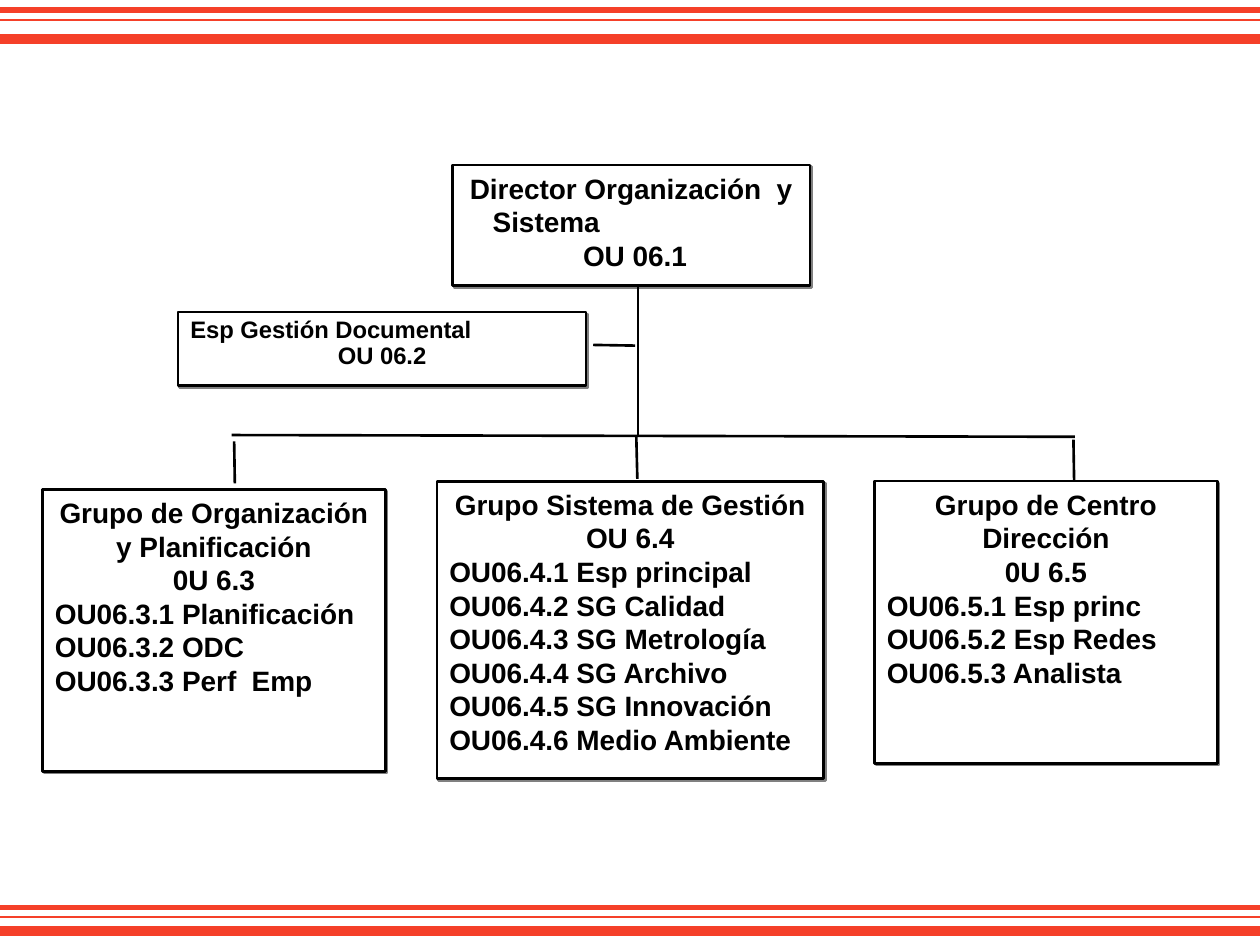
"""Organisation chart of the Organización y Sistema department."""
from dataclasses import dataclass
from typing import Any

import lxml.etree
import pptx
import pptx.dml.color
import pptx.enum.shapes
import pptx.enum.text
import pptx.oxml
import pptx.oxml.ns
import pptx.util

Pt = pptx.util.Pt
LEFT = pptx.enum.text.PP_ALIGN.LEFT
CENTER = pptx.enum.text.PP_ALIGN.CENTER
WIDTH, HEIGHT = 720, 540
RED, BLACK, WHITE, GRAY = "F54029", "000000", "FFFFFF", "808080"
FRAME = {
    "word_wrap": True,
    "vertical_anchor": pptx.enum.text.MSO_ANCHOR.TOP,
    "margin_left": Pt(7.2),
    "margin_right": Pt(7.2),
    "margin_top": Pt(3.6),
    "margin_bottom": Pt(3.6),
}


@dataclass
class Line:
    x1: float
    y1: float
    x2: float
    y2: float
    color: str = BLACK
    width: float = 1.5


@dataclass
class Para:
    text: str
    align: Any = LEFT
    indent: float = 0


@dataclass
class Box:
    x: float
    y: float
    w: float
    h: float
    paras: list[Para]
    size: float = 16
    spacing: float = 1.0


def rgb(value: str) -> pptx.dml.color.RGBColor:
    """Turn a hex string into a colour."""
    return pptx.dml.color.RGBColor.from_string(value)


def assign(target: Any, values: dict[str, Any]) -> None:
    """Set each attribute of target from a dict."""
    for name, value in values.items():
        setattr(target, name, value)


def effect_list(sp: Any) -> Any:
    """Append an empty effect list to a shape's properties."""
    tag = pptx.oxml.ns.qn("a:effectLst")
    return lxml.etree.SubElement(sp._element.spPr, tag)


def add_shadow(sp: Any) -> None:
    """Give a shape a hard grey shadow to the lower right."""
    sp.line.width = Pt(1.5)
    ns = pptx.oxml.ns.nsdecls("a")
    effect_list(sp).append(pptx.oxml.parse_xml(
        f'<a:outerShdw {ns} blurRad="0" dist="{Pt(1.4)}" dir="2700000" '
        f'algn="ctr" rotWithShape="0"><a:srgbClr val="{GRAY}"/></a:outerShdw>'
    ))


def draw_line(s: Any, line: Line) -> None:
    """Draw one straight line."""
    sp = s.shapes.add_connector(
        pptx.enum.shapes.MSO_CONNECTOR.STRAIGHT,
        Pt(line.x1), Pt(line.y1), Pt(line.x2), Pt(line.y2),
    )
    sp.line.color.rgb = rgb(line.color)
    sp.line.width = Pt(line.width)
    effect_list(sp)


def draw_box(s: Any, box: Box) -> None:
    """Draw one bordered box with its paragraphs."""
    sp = s.shapes.add_shape(
        pptx.enum.shapes.MSO_SHAPE.RECTANGLE,
        Pt(box.x), Pt(box.y), Pt(box.w), Pt(box.h),
    )
    sp.fill.solid()
    sp.fill.fore_color.rgb = rgb(WHITE)
    sp.line.color.rgb = rgb(BLACK)
    add_shadow(sp)
    tf = sp.text_frame
    assign(tf, FRAME)
    for i, para in enumerate(box.paras):
        p = tf.add_paragraph() if i else tf.paragraphs[0]
        assign(p, {"alignment": para.align, "line_spacing": box.spacing})
        p._p.get_or_add_pPr().set("marL", str(Pt(para.indent)))
        r = p.add_run()
        r.text = para.text
        assign(r.font, {"name": "Arial", "size": Pt(box.size), "bold": True})
        r.font.color.rgb = rgb(BLACK)


def group(heads: list[str], prefix: str, roles: list[str]) -> list[Para]:
    """Make centred headings followed by numbered roles."""
    items = [Para(f"{prefix}.{n} {role}") for n, role in enumerate(roles, 1)]
    return [Para(head, CENTER) for head in heads] + items


BOXES = [
    Box(258.5, 94.3, 204.5, 68.9, [
        Para("Director Organización  y", CENTER),
        Para("Sistema", LEFT, 16),
        Para("OU 06.1", CENTER, 4.4),
    ]),
    Box(101.7, 178.4, 233.3, 42, [
        Para("Esp Gestión Documental"),
        Para("OU 06.2", CENTER),
    ], 13.6, 0.9),
    Box(24.3, 279.6, 196, 161.3, group(
        ["Grupo de Organización y Planificación", "0U 6.3"], "OU06.3",
        ["Planificación", "ODC", "Perf  Emp"])),
    Box(249.7, 275, 221, 170, group(
        ["Grupo Sistema de Gestión", "OU 6.4"], "OU06.4",
        ["Esp principal", "SG Calidad", "SG Metrología", "SG Archivo",
         "SG Innovación", "Medio Ambiente"])),
    Box(499.7, 275, 196, 161.3, group(
        ["Grupo de Centro Dirección", "0U 6.5"], "OU06.5",
        ["Esp princ", "Esp Redes", "Analista"])),
]

LINKS = [
    Line(132.3, 248.6, 614.2, 249.6),
    Line(339, 197.1, 363, 197.5),
    Line(364.5, 248.6, 364.5, 163.4),
    Line(134.2, 276.2, 133.8, 252.2),
    Line(364.2, 273.6, 363.6, 249.6),
    Line(613.8, 275, 613.4, 251.2),
]


def main() -> None:
    """Build the slide and save it."""
    prs = pptx.Presentation()
    assign(prs, {"slide_width": Pt(WIDTH), "slide_height": Pt(HEIGHT)})
    s = prs.slides.add_slide(prs.slide_layouts[6])
    for top in (5.8, 518.4):
        for dy, width in ((5.7, 1), (16.6 if top < 100 else 13.7, 6), (0, 3)):
            y = top + dy
            draw_line(s, Line(0, y, WIDTH, y, RED, width))
    for box in BOXES:
        draw_box(s, box)
    for link in LINKS:
        draw_line(s, link)
    prs.save("out.pptx")


if __name__ == "__main__":
    main()
